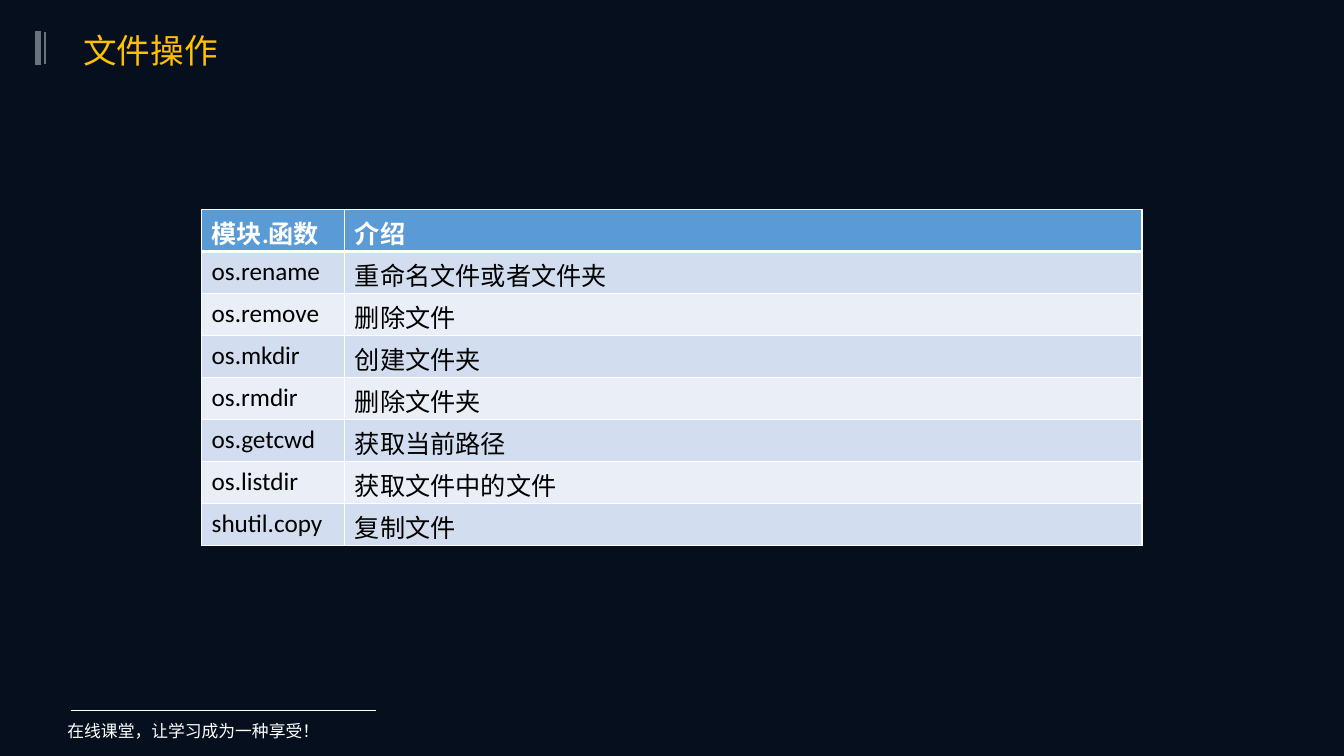
from lxml import etree
from pptx import Presentation
from pptx.dml.color import RGBColor
from pptx.enum.shapes import MSO_CONNECTOR, MSO_SHAPE
from pptx.enum.text import MSO_ANCHOR, PP_ALIGN
from pptx.oxml.ns import qn
from pptx.util import Cm, Pt

STRAIGHT = MSO_CONNECTOR.STRAIGHT
ROUND_RECT = MSO_SHAPE.ROUNDED_RECTANGLE
MIDDLE = MSO_ANCHOR.MIDDLE
LEFT = PP_ALIGN.LEFT

CJK = "Noto Sans CJK SC"
NAVY, WHITE, BLACK, GREY, GOLD = "060F1E", "FFFFFF", "000000", "6A727E", "FFC000"
HEADER, BANDS = "5B9BD5", ("D2DEEF", "EAEFF7")

ROWS = [
    ("模块.函数", "介绍"),
    ("os.rename", "重命名文件或者文件夹"),
    ("os.remove", "删除文件"),
    ("os.mkdir", "创建文件夹"),
    ("os.rmdir", "删除文件夹"),
    ("os.getcwd", "获取当前路径"),
    ("os.listdir", "获取文件中的文件"),
    ("shutil.copy", "复制文件"),
]


def rgb(color):
    return RGBColor.from_string(color)


def write(tf, text, color, **formats):
    p = tf.paragraphs[0]
    p.alignment = LEFT
    r = p.add_run()
    r.text = text
    r.font.color.rgb = rgb(color)
    for name, value in formats.items():
        setattr(r.font, name, value)
    return r


def use_cjk(r):
    """Set the East Asian typeface too, which font.name leaves alone."""
    r.font.name = CJK
    etree.SubElement(r.font._element, qn("a:ea"), typeface=CJK)


def add_line(s, x1, y1, x2, y2, color, width):
    line = s.shapes.add_connector(STRAIGHT, Cm(x1), Cm(y1), Cm(x2), Cm(y2))
    line.line.color.rgb = rgb(color)
    line.line.width = Pt(width)
    etree.SubElement(line._element.spPr, qn("a:effectLst"))


def add_title(s, text, x, y, w, h):
    """Title with a thick and a thin bar to its left."""
    middle = y + h / 2 - 0.05
    for offset, length, width in ((0.79, 0.86, 4.5), (0.61, 0.82, 1.5)):
        add_line(s, x - offset, middle - length / 2,
                 x - offset, middle + length / 2, GREY, width)
    sp = s.shapes.add_shape(ROUND_RECT, Cm(x), Cm(y), Cm(w), Cm(h))
    sp.adjustments[0] = 0.23
    sp.shadow.inherit = False
    sp.fill.background()
    sp.line.fill.background()
    tf = sp.text_frame
    tf.vertical_anchor = MIDDLE
    use_cjk(write(tf, text, GOLD, size=Pt(24)))


def add_footer(s, text, x, y, w, h):
    add_line(s, x + 0.33, y - 0.13, x + 8.03, y - 0.13, WHITE, 0.5)
    tf = s.shapes.add_textbox(Cm(x), Cm(y), Cm(w), Cm(h)).text_frame
    tf.word_wrap = True
    use_cjk(write(tf, text, WHITE, size=Pt(12)))


def add_borders(cell, widths):
    tcPr = cell._tc.get_or_add_tcPr()
    for side, width in widths.items():
        ln = etree.SubElement(tcPr, qn(f"a:ln{side}"), w=str(Pt(width)))
        fill = etree.SubElement(ln, qn("a:solidFill"))
        etree.SubElement(fill, qn("a:srgbClr"), val=WHITE)


def add_function_table(s, rows, x, y, w, h, first_col):
    table = s.shapes.add_table(len(rows), 2, Cm(x), Cm(y), Cm(w), Cm(h)).table
    table.columns[0].width = Cm(first_col)
    table.columns[1].width = Cm(w - first_col)
    for i, texts in enumerate(rows):
        is_header = i == 0
        for j, text in enumerate(texts):
            cell = table.cell(i, j)
            add_borders(cell, {"L": 1, "R": 1, "T": 3 if i == 1 else 1,
                               "B": 3 if is_header else 1})
            cell.fill.solid()
            cell.fill.fore_color.rgb = rgb(HEADER if is_header else BANDS[(i - 1) % 2])
            write(cell.text_frame, text, WHITE if is_header else BLACK,
                  size=Pt(18), name="Calibri", bold=is_header)


def main():
    prs = Presentation()
    prs.slide_width, prs.slide_height = Cm(33.87), Cm(19.05)
    s = prs.slides.add_slide(prs.slide_layouts[6])
    s.background.fill.solid()
    s.background.fill.fore_color.rgb = rgb(NAVY)
    add_footer(s, "在线课堂，让学习成为一种享受！", 1.45, 18.03, 10.13, 0.76)
    add_title(s, "文件操作", 1.75, 0.53, 18.92, 1.47)
    add_function_table(s, ROWS, 5.08, 5.28, 23.7, 8.47, 3.61)
    prs.save("out.pptx")


if __name__ == "__main__":
    main()
